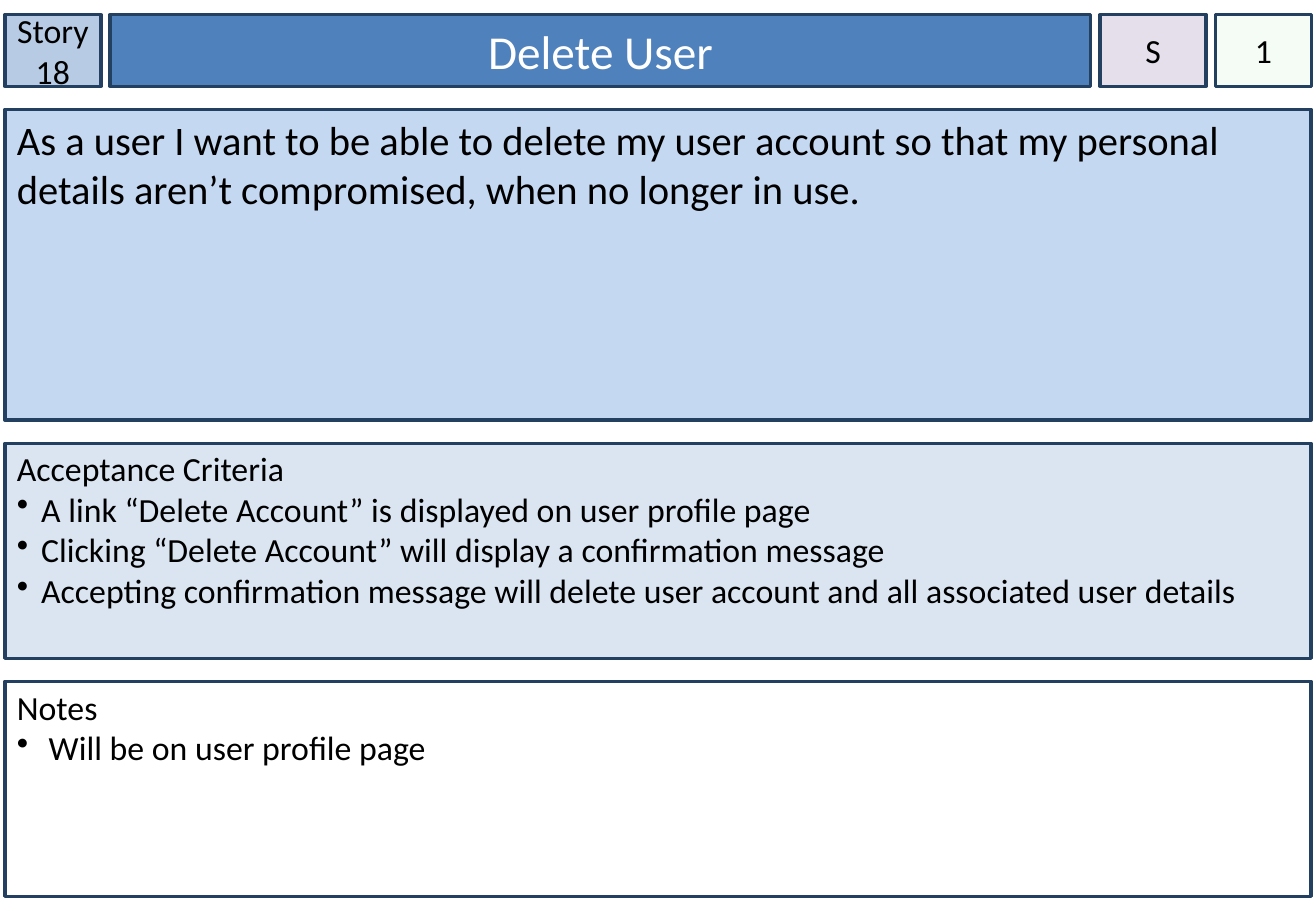
from dataclasses import dataclass

from lxml import etree
from pptx import Presentation
from pptx import util as u
from pptx.dml.color import RGBColor
from pptx.enum import shapes, text
from pptx.oxml import ns

BLACK = RGBColor(0x00, 0x00, 0x00)
WHITE = RGBColor(0xFF, 0xFF, 0xFF)
NAVY = RGBColor(0x24, 0x40, 0x61)
STORY_BLUE = RGBColor(0xB7, 0xCC, 0xE4)
TITLE_BLUE = RGBColor(0x4F, 0x81, 0xBD)
BODY_BLUE = RGBColor(0xC5, 0xD8, 0xF1)
CRITERIA_BLUE = RGBColor(0xDA, 0xE5, 0xF1)
LILAC = RGBColor(0xE5, 0xDF, 0xEC)
GREEN = RGBColor(0xCC, 0xF0, 0xCD)

FONT = "Calibri"
LEFT, TOP = 2.88, 8.64
HEADER_HEIGHT, PANEL_WIDTH = 42.48, 774
COLUMN_GAP, ROW_GAP = 5.55, 13.68
SIDE_INSET, BOTTOM_INSET = 7.2, 3.6
BULLET_INDENT = 14.4


@dataclass(frozen=True)
class HeaderCell:
    label: str
    width: float
    fill: RGBColor
    size: float = 20
    color: RGBColor = BLACK
    inset: float = 0
    opacity: int = 100


@dataclass(frozen=True)
class Panel:
    heading: str
    height: float
    fill: RGBColor
    size: float = 20
    top_inset: float = 2.88
    bullets: tuple[str, ...] = ()


HEADER = [
    HeaderCell("Story 18", 56.88, STORY_BLUE),
    HeaderCell("Delete User", 581.04, TITLE_BLUE, size=28, color=WHITE, inset=SIDE_INSET),
    HeaderCell("S", 62.64, LILAC),
    HeaderCell("1", 56.88, GREEN, opacity=20),
]

PANELS = [
    Panel(
        "As a user I want to be able to delete my user account so that my personal "
        "details aren’t compromised, when no longer in use.",
        184.32, BODY_BLUE, size=24, top_inset=3.6,
    ),
    Panel("Acceptance Criteria", 127.44, CRITERIA_BLUE, bullets=(
        "A link “Delete Account” is displayed on user profile page",
        "Clicking “Delete Account” will display a confirmation message",
        "Accepting confirmation message will delete user account and all associated user details",
    )),
    Panel("Notes", 127.44, WHITE, bullets=(" Will be on user profile page",)),
]


def add_box(s, left: float, top: float, width: float, height: float,
            fill: RGBColor, opacity: int = 100):
    sp = s.shapes.add_shape(shapes.MSO_SHAPE.RECTANGLE,
                            u.Pt(left), u.Pt(top), u.Pt(width), u.Pt(height))
    sp.shadow.inherit = False
    sp.fill.solid()
    sp.fill.fore_color.rgb = fill
    sp.line.color.rgb = NAVY
    sp.line.width = u.Pt(2)
    if opacity < 100:
        color = sp.fill._xPr.find(f"{ns.qn('a:solidFill')}/{ns.qn('a:srgbClr')}")
        etree.SubElement(color, ns.qn("a:alpha"), val=str(opacity * 1000))
    return sp


def set_frame(tf, anchor: text.MSO_ANCHOR, side: float, top: float) -> None:
    tf.word_wrap = True
    tf.vertical_anchor = anchor
    tf.margin_left = tf.margin_right = u.Pt(side)
    tf.margin_top, tf.margin_bottom = u.Pt(top), u.Pt(BOTTOM_INSET)


def write(p, content: str, *, size: float = 20, color: RGBColor = BLACK,
          align: text.PP_ALIGN = text.PP_ALIGN.LEFT, bullet: bool = False) -> None:
    p.alignment = align
    r = p.add_run()
    r.text = content
    r.font.name = FONT
    r.font.size = u.Pt(size)
    r.font.color.rgb = color
    if bullet:
        props = p._p.get_or_add_pPr()
        props.set("marL", str(u.Pt(BULLET_INDENT)))
        props.set("indent", str(-u.Pt(BULLET_INDENT)))
        bullet_color = etree.SubElement(props, ns.qn("a:buClr"))
        etree.SubElement(bullet_color, ns.qn("a:srgbClr"), val=str(color))
        etree.SubElement(props, ns.qn("a:buChar"), char="•")


def add_header_cell(s, cell: HeaderCell, left: float) -> None:
    tf = add_box(s, left, TOP, cell.width, HEADER_HEIGHT, cell.fill, cell.opacity).text_frame
    set_frame(tf, text.MSO_ANCHOR.MIDDLE, cell.inset, 3.6)
    write(tf.paragraphs[0], cell.label, size=cell.size, color=cell.color,
          align=text.PP_ALIGN.CENTER)


def add_panel(s, panel: Panel, top: float) -> None:
    tf = add_box(s, LEFT, top, PANEL_WIDTH, panel.height, panel.fill).text_frame
    set_frame(tf, text.MSO_ANCHOR.TOP, SIDE_INSET, panel.top_inset)
    write(tf.paragraphs[0], panel.heading, size=panel.size)
    for item in panel.bullets:
        write(tf.add_paragraph(), item, size=panel.size, bullet=True)


def main() -> None:
    prs = Presentation()
    prs.slide_width, prs.slide_height = u.Pt(779.76), u.Pt(540)
    s = prs.slides.add_slide(prs.slide_layouts[6])

    left = LEFT
    for cell in HEADER:
        add_header_cell(s, cell, left)
        left += cell.width + COLUMN_GAP

    top = TOP + HEADER_HEIGHT + ROW_GAP
    for panel in PANELS:
        add_panel(s, panel, top)
        top += panel.height + ROW_GAP

    prs.save("out.pptx")


if __name__ == "__main__":
    main()
